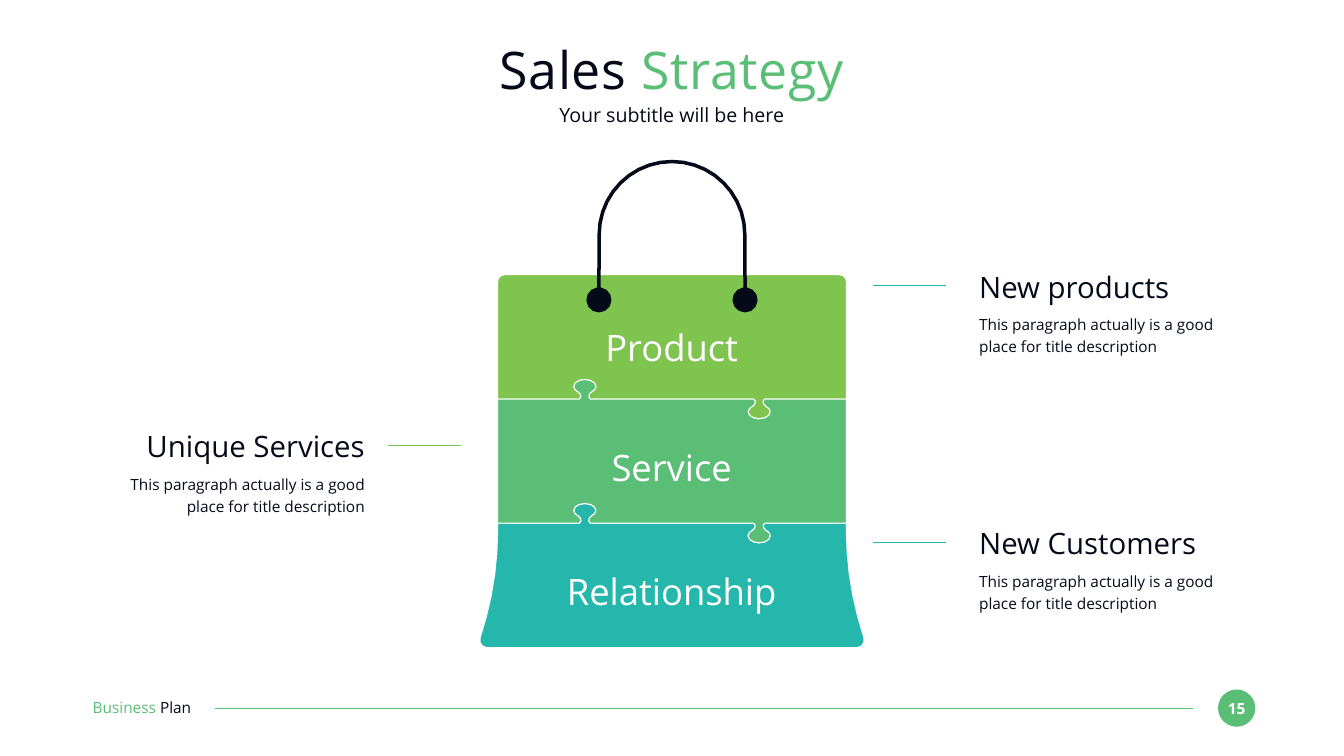
import math

import pptx
import pptx.dml.color
import pptx.enum.shapes
import pptx.enum.text
import pptx.oxml
import pptx.oxml.ns
import pptx.util
from pptx.util import Inches

FONT = "Open Sans"
INK, WHITE = "050A19", "FFFFFF"
LIME, GREEN, TEAL = "7FC44F", "5ABE76", "25B7AC"
ALIGN = pptx.enum.text.PP_ALIGN
SHAPE = pptx.enum.shapes.MSO_SHAPE
DESCRIPTION = "This paragraph actually is a good place for title description"


def rgb(color):
    return pptx.dml.color.RGBColor.from_string(color)


def put_text(shape, *runs, size, align=ALIGN.LEFT, spacing=None, bold=False, tracking=None):
    """Fill a shape with one paragraph made of (text, colour) runs."""
    tf = shape.text_frame
    tf.word_wrap = True
    tf.auto_size = pptx.enum.text.MSO_AUTO_SIZE.NONE
    tf.vertical_anchor = pptx.enum.text.MSO_ANCHOR.MIDDLE
    tf.margin_left = tf.margin_right = tf.margin_top = tf.margin_bottom = 0
    p = tf.paragraphs[0]
    p.alignment = align
    p.space_before = pptx.util.Pt(0)
    if spacing:
        p.line_spacing = spacing
    for text, color in runs:
        r = p.add_run()
        r.text = text
        r.font.name, r.font.size, r.font.bold = FONT, pptx.util.Pt(size), bold
        r.font.color.rgb = rgb(color)
        if tracking:
            r.font._element.set("spc", str(tracking))
    return p


def add_text(s, x, y, w, h, *runs, **fmt):
    put_text(s.shapes.add_textbox(*map(Inches, (x, y, w, h))), *runs, **fmt)


def add_line(s, x1, x2, y, color):
    line = s.shapes.add_connector(pptx.enum.shapes.MSO_CONNECTOR.STRAIGHT,
                                  Inches(x1), Inches(y), Inches(x2), Inches(y))
    line.line.color.rgb = rgb(color)
    line.line.width = pptx.util.Pt(1.5)
    line._element.spPr.append(pptx.oxml.parse_xml(
        f'<a:effectLst {pptx.oxml.ns.nsdecls("a")}/>'))


def paint(shape, fill, outline=None):
    shape.shadow.inherit = False
    shape.fill.solid()
    shape.fill.fore_color.rgb = rgb(fill)
    if outline:
        shape.line.color.rgb = rgb(outline)
        shape.line.width = pptx.util.Pt(1.5)
    else:
        shape.line.fill.background()


# Outline geometry: points are (distance right of the bag's axis, distance below its top)
def arc(cx, cy, r, start, end, steps):
    angles = [math.radians(start + (end - start) * i / steps) for i in range(steps + 1)]
    return [(cx + r * math.cos(a), cy + r * math.sin(a)) for a in angles]


def bezier(a, b, c, d, steps):
    """Points along a cubic curve, without its start."""
    points = []
    for i in range(1, steps + 1):
        t = i / steps
        k = ((1 - t) ** 3, 3 * t * (1 - t) ** 2, 3 * t * t * (1 - t), t ** 3)
        points.append(tuple(sum(m * v for m, v in zip(k, axis)) for axis in zip(a, b, c, d)))
    return points


def mirror(points):
    return [(-x, y) for x, y in reversed(points)]


def knob(cx, y, direction):
    half = ([(-.11, 0), (-.08, .04), (-.09, .1), (-.13, .14)]
            + bezier((-.13, .14), (-.18, .16), (-.22, .21), (-.22, .25), 2)
            + bezier((-.22, .25), (-.22, .33), (-.12, .39), (0, .39), 3))
    return [(cx + dx, y + direction * dy) for dx, dy in half + mirror(half[:-1])]


def seam(y, half_width):
    """Jigsaw edge from left to right, with one knob up and one down."""
    return [(-half_width, y), *knob(-1.73, y, -1), *knob(1.73, y, 1), (half_width, y)]


def add_outline(s, axis, top, points, fill, outline=None):
    emu = [(Inches(axis + x), Inches(top + y)) for x, y in points]
    fb = s.shapes.build_freeform(*emu[0], scale=1.0)
    fb.add_line_segments(emu[1:], close=True)
    paint(fb.convert_to_shape(), fill, outline)


def add_bag(s, x, y, w):
    axis, half, body_top, bottom = x + w / 2, 3.46, 2.28, 9.68
    upper, lower = seam(4.75, half), seam(7.21, half)

    # Three interlocking pieces
    corner = arc(half - .14, body_top + .14, .14, -90, 0, 3)
    side = ([(half, 7.34)]
            + bezier((half, 7.34), (half, 8.07), (3.58, 8.8), (3.81, 9.49), 5)
            + bezier((3.81, 9.49), (3.84, 9.58), (3.77, bottom), (3.67, bottom), 3))
    pieces = [(lower + side + mirror(side), TEAL),
              (mirror(corner) + corner + upper[::-1], LIME),
              (upper + lower[::-1], GREEN)]
    for points, color in pieces:
        add_outline(s, axis, y, points, color, WHITE)

    # Handle with an eyelet at each end
    bend, eyelet = 1.48, 2.78
    handle = (arc(0, bend, 1.48, 0, -180, 20) + arc(-1.45, eyelet, .25, -98, -442, 12)
              + arc(0, bend, 1.41, -180, 0, 20) + arc(1.45, eyelet, .25, -98, -442, 12))
    add_outline(s, axis, y, handle, INK)

    # Piece names
    for name, dy in (("Product", 3.28), ("Service", 5.66), ("Relationship", 8.11)):
        add_text(s, axis - 2.64, y + dy, 5.27, .88, (name, WHITE), size=52, align=ALIGN.CENTER)


def add_callout(s, x, y, title, line_x, color, align=ALIGN.LEFT):
    add_line(s, line_x, line_x + 1.44, y + .34, color)
    add_text(s, x, y, 5.41, .71, (title, INK), size=42, align=align)
    add_text(s, x, y + .85, 5.41, .89, (DESCRIPTION, INK), size=22, align=align, spacing=1.2)


def add_heading(s, x, y, w):
    title, body = s.shapes.title, s.placeholders[1]
    for ph, top, height in ((title, y, 1.27), (body, y + 1.3, .49)):
        ph.left, ph.top, ph.width, ph.height = map(Inches, (x, top, w, height))
    put_text(title, ("Sales ", INK), ("Strategy", GREEN),
             size=74, align=ALIGN.CENTER, tracking=100)
    p = put_text(body, ("Your subtitle will be here", INK), size=28, align=ALIGN.CENTER)
    pPr = p._p.get_or_add_pPr()
    pPr.set("marL", "0")
    pPr.set("indent", "0")
    pPr.append(pptx.oxml.parse_xml(f'<a:buNone {pptx.oxml.ns.nsdecls("a")}/>'))


def add_footer(s, x, y, w, page):
    badge = s.shapes.add_shape(SHAPE.OVAL, *map(Inches, (x + w - .74, y, .74, .74)))
    paint(badge, GREEN)
    put_text(badge, (page, WHITE), size=22, align=ALIGN.CENTER, bold=True)
    add_line(s, x + 2.43, x + w - 1.24, y + .37, GREEN)
    add_text(s, x, y + .16, 2.4, .37, ("Business ", GREEN), ("Plan", INK), size=22)


def main():
    prs = pptx.Presentation()
    prs.slide_width, prs.slide_height = Inches(26.67), Inches(15)
    s = prs.slides.add_slide(prs.slide_layouts[1])
    add_heading(s, 1.83, .73, 23)
    add_bag(s, 9.5, 3.17, 7.67)
    add_callout(s, 1.83, 8.49, "Unique Services", 7.7, LIME, ALIGN.RIGHT)
    add_callout(s, 19.43, 10.42, "New Customers", 17.33, TEAL)
    add_callout(s, 19.43, 5.33, "New products", 17.33, TEAL)
    add_footer(s, 1.84, 13.68, 23.07, "15")
    prs.save("out.pptx")


if __name__ == "__main__":
    main()
